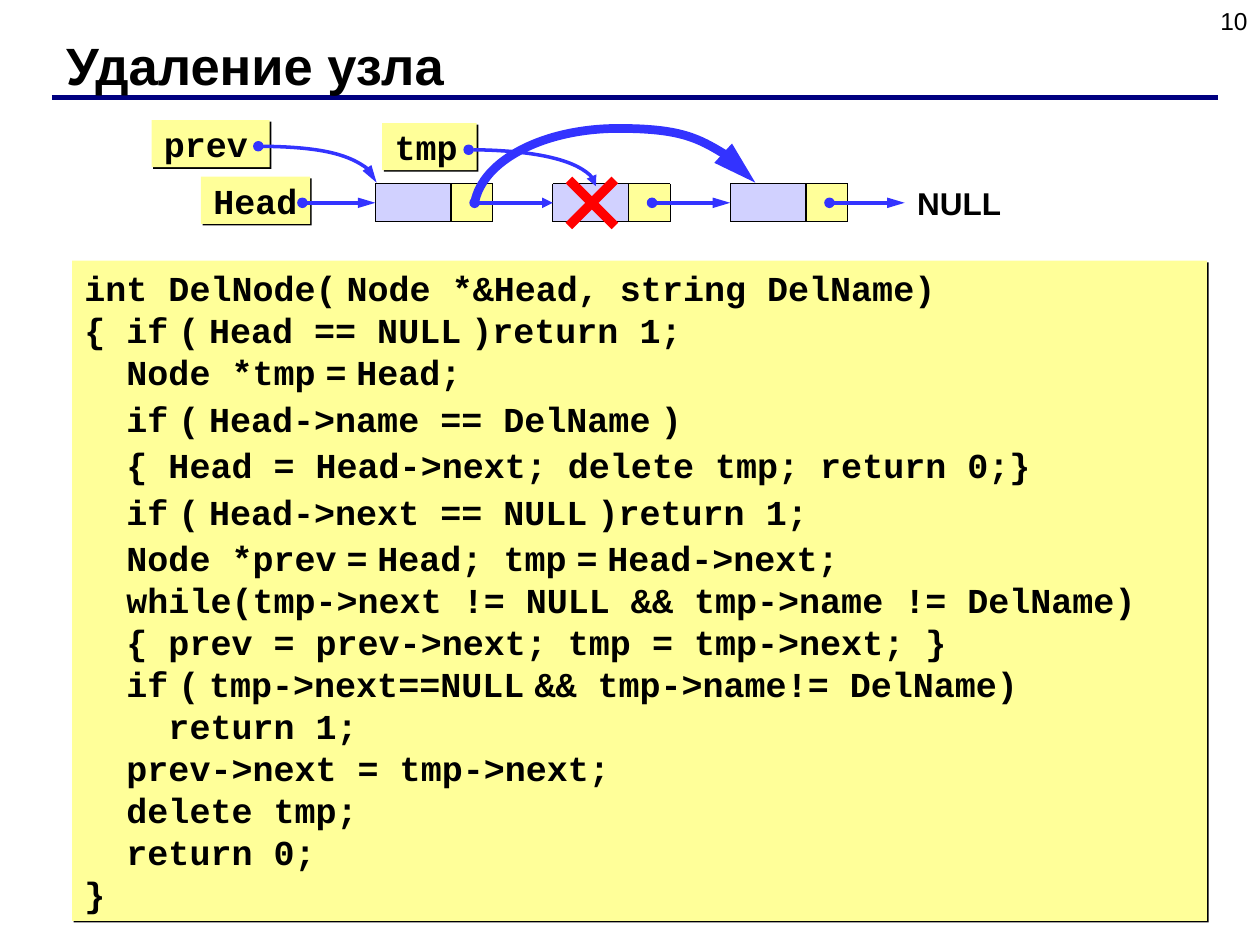
from lxml.etree import SubElement
from pptx import Presentation
from pptx.dml.color import RGBColor
from pptx.enum.shapes import MSO_CONNECTOR, MSO_SHAPE
from pptx.enum.text import MSO_ANCHOR, PP_ALIGN
from pptx.oxml.ns import qn
from pptx.util import Pt

BLACK, NAVY, BLUE, RED = "000000", "000080", "3333FF", "FF0000"
YELLOW, LAVENDER = "FFFF99", "D1D1FF"
SANS, MONO = "Arial", "Courier New"
LEFT_SIDE = 1
MEDIUM, LONG = "med", "lg"

NODE_LEFT, NODE_TOP, NODE_STEP = 214.5, 105.1, 101.4
NODE_HEIGHT, DATA_WIDTH, LINK_WIDTH = 21.6, 43.2, 24
DOT_OFFSET = 56.7
NODE_MIDDLE = NODE_TOP + NODE_HEIGHT / 2

# Each "~" is a narrow space, set in the proportional font.
CODE = """\
int DelNode(~Node *&Head, string DelName)
{ if~(~Head == NULL~)return 1;
  Node *tmp~=~Head;
  if~(~Head->name == DelName~)
  { Head = Head->next; delete tmp; return 0;}
  if~(~Head->next == NULL~)return 1;
  Node *prev~=~Head; tmp~=~Head->next;
  while(tmp->next != NULL && tmp->name != DelName)
  { prev = prev->next; tmp = tmp->next; }
  if~(~tmp->next==NULL~&& tmp->name!= DelName)
    return 1;
  prev->next = tmp->next;
  delete tmp;
  return 0;
}"""
SPACED_LINES = range(3, 7)


def color(value):
    return RGBColor.from_string(value)


def write_text(shape, text, size=20, font=MONO, bold=True, align=PP_ALIGN.LEFT,
               inset=3.6, wrap=True, spaced=()):
    """Fill a shape with lines of text; "spaced" lists lines with a gap above."""
    frame = shape.text_frame
    frame.word_wrap = wrap
    frame.vertical_anchor = MSO_ANCHOR.TOP
    frame.margin_left = frame.margin_right = Pt(7.2)
    frame.margin_top = frame.margin_bottom = Pt(inset)
    for index, line in enumerate(text.split("\n")):
        paragraph = frame.add_paragraph() if index else frame.paragraphs[0]
        paragraph.alignment = align
        paragraph.line_spacing = Pt(1.2 * size)
        if index in spaced:
            paragraph.space_before = Pt(2.5)
        for number, piece in enumerate(line.split("~")):
            parts = [(piece, font)]
            if number:
                parts.insert(0, (" ", SANS))
            for words, name in parts:
                run = paragraph.add_run()
                run.text = words
                run.font.name = name
                run.font.size = Pt(size)
                run.font.bold = bold
                run.font.color.rgb = color(BLACK)


class Sketch:
    def __init__(self, slide):
        self.shapes = slide.shapes

    def text(self, left, top, width, height, words, **style):
        box = self.shapes.add_textbox(Pt(left), Pt(top), Pt(width), Pt(height))
        write_text(box, words, **style)
        return box

    def block(self, left, top, width, height, fill, kind=MSO_SHAPE.RECTANGLE):
        shape = self.shapes.add_shape(kind, Pt(left), Pt(top), Pt(width), Pt(height))
        shape.shadow.inherit = False
        shape.fill.solid()
        shape.fill.fore_color.rgb = color(fill)
        shape.line.fill.background()
        return shape

    def card(self, left, top, width, height, words, **style):
        """Yellow box with a hard black shadow."""
        shape = self.block(left, top, width, height, YELLOW)
        effects = shape._element.spPr.find(qn("a:effectLst"))
        shadow = SubElement(effects, qn("a:outerShdw"), dist=str(Pt(1.4)),
                            dir="2700000", algn="ctr", rotWithShape="0")
        SubElement(shadow, qn("a:srgbClr"), val=BLACK)
        write_text(shape, words, **style)

    def stroke(self, shape, ink, weight, dot=False, arrow=None):
        """Set the line of a shape; "arrow" is the length of its end triangle."""
        shape.line.color.rgb = color(ink)
        shape.line.width = Pt(weight)
        line = shape.line._get_or_add_ln()
        if dot:
            SubElement(line, qn("a:headEnd"), type="oval")
        if arrow:
            SubElement(line, qn("a:tailEnd"), type="triangle", len=arrow)

    def line(self, start, end, ink, weight, **ends):
        connector = self.shapes.add_connector(
            MSO_CONNECTOR.STRAIGHT, *(Pt(value) for value in (*start, *end)))
        self.stroke(connector, ink, weight, **ends)
        SubElement(connector._element.spPr, qn("a:effectLst"))
        return connector

    def pointer(self, start, target, arrow=LONG):
        link = self.line(start, (start[0] + 30, start[1]), BLUE, 2, dot=True, arrow=arrow)
        link.end_connect(target, LEFT_SIDE)

    def curve(self, points, weight, **ends):
        """Draw Bezier arcs: a start, then two controls and an end for each arc."""
        start, *rest = [(Pt(x), Pt(y)) for x, y in points]
        builder = self.shapes.build_freeform(*start)
        builder.add_line_segments(rest, close=False)
        shape = builder.convert_to_shape()
        shape.shadow.inherit = False
        shape.fill.background()
        self.stroke(shape, BLUE, weight, **ends)
        outline = next(shape._element.iter(qn("a:path")))
        segments = outline.findall(qn("a:lnTo"))
        for first in range(0, len(segments), 3):
            arc = SubElement(outline, qn("a:cubicBezTo"))
            for segment in segments[first:first + 3]:
                arc.append(segment[0])
                outline.remove(segment)

    def quarter_curve(self, left, top, width, height, arrow):
        self.curve([(left, top), (left + 0.55 * width, top),
                    (left + width, top + 0.45 * height),
                    (left + width, top + height)], 2, dot=True, arrow=arrow)

    def node(self, left):
        """Draw a list node and return its data cell."""
        middle, right = left + DATA_WIDTH, left + DATA_WIDTH + LINK_WIDTH
        bottom = NODE_TOP + NODE_HEIGHT
        self.block(middle, NODE_TOP, LINK_WIDTH, NODE_HEIGHT, YELLOW)
        data = self.block(left, NODE_TOP, DATA_WIDTH, NODE_HEIGHT, LAVENDER)
        for y in (NODE_TOP, bottom):
            self.line((left, y), (right, y), BLACK, 0.5)
        for x, weight in ((left, 0.5), (middle, 1), (right, 0.5)):
            self.line((x, NODE_TOP), (x, bottom), BLACK, weight)
        return data


def main():
    presentation = Presentation()
    presentation.slide_width, presentation.slide_height = Pt(720), Pt(540)
    slide = presentation.slides.add_slide(presentation.slide_layouts[6])
    sketch = Sketch(slide)

    sketch.text(552, 0, 168, 37.5, "10", size=14, font=SANS, bold=False,
                align=PP_ALIGN.RIGHT)
    sketch.line((29.7, 55.6), (696, 55.6), NAVY, 3)
    sketch.text(30.7, 15.2, 641, 43.2, "Удаление узла", size=30, font=SANS)
    sketch.card(41.2, 149, 648.5, 377.2, CODE, spaced=SPACED_LINES)

    sketch.card(86.6, 68.6, 67.5, 26.9, "prev", inset=1.4)
    sketch.quarter_curve(147.6, 83.6, 67.6, 20.8, LONG)
    sketch.card(114.8, 101, 62.4, 26.9, "Head", inset=1.4, wrap=False)

    lefts = [NODE_LEFT + NODE_STEP * index for index in range(3)]
    dots = [(left + DOT_OFFSET, NODE_MIDDLE) for left in lefts]
    nodes = [sketch.node(left) for left in lefts]
    null = sketch.text(517, NODE_MIDDLE - 14.4, 70, 28.8, "NULL", size=18, font=SANS)
    sketch.pointer((172.8, NODE_MIDDLE), nodes[0])
    sketch.pointer(dots[1], nodes[2])
    sketch.pointer(dots[2], null)

    cross = sketch.block(319.6, 97.4, 37.2, 37.2, RED, MSO_SHAPE.CROSS)
    cross.adjustments[0] = 0.428
    cross.rotation = 45
    sketch.curve([dots[0], (275.8, 91.4), (311, 73.4), (353.5, 73.4),
                  (388.8, 73.4), (419.8, 85.7), (431.6, 104.4)], 5, arrow=LONG)
    sketch.pointer(dots[0], nodes[1], arrow=MEDIUM)

    sketch.card(218.4, 70.3, 54, 26.9, "tmp", inset=1.4)
    sketch.quarter_curve(267.8, 85.6, 72.7, 20.8, MEDIUM)

    presentation.save("out.pptx")


if __name__ == "__main__":
    main()
